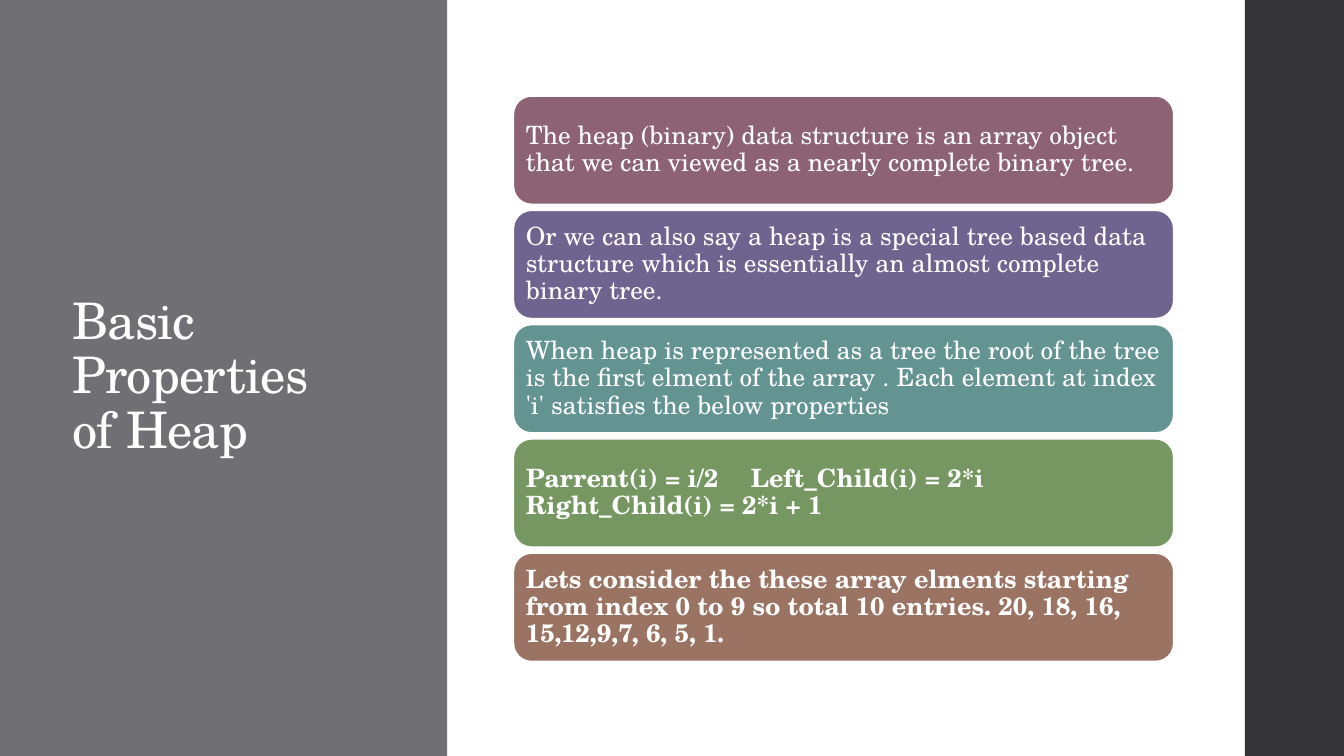
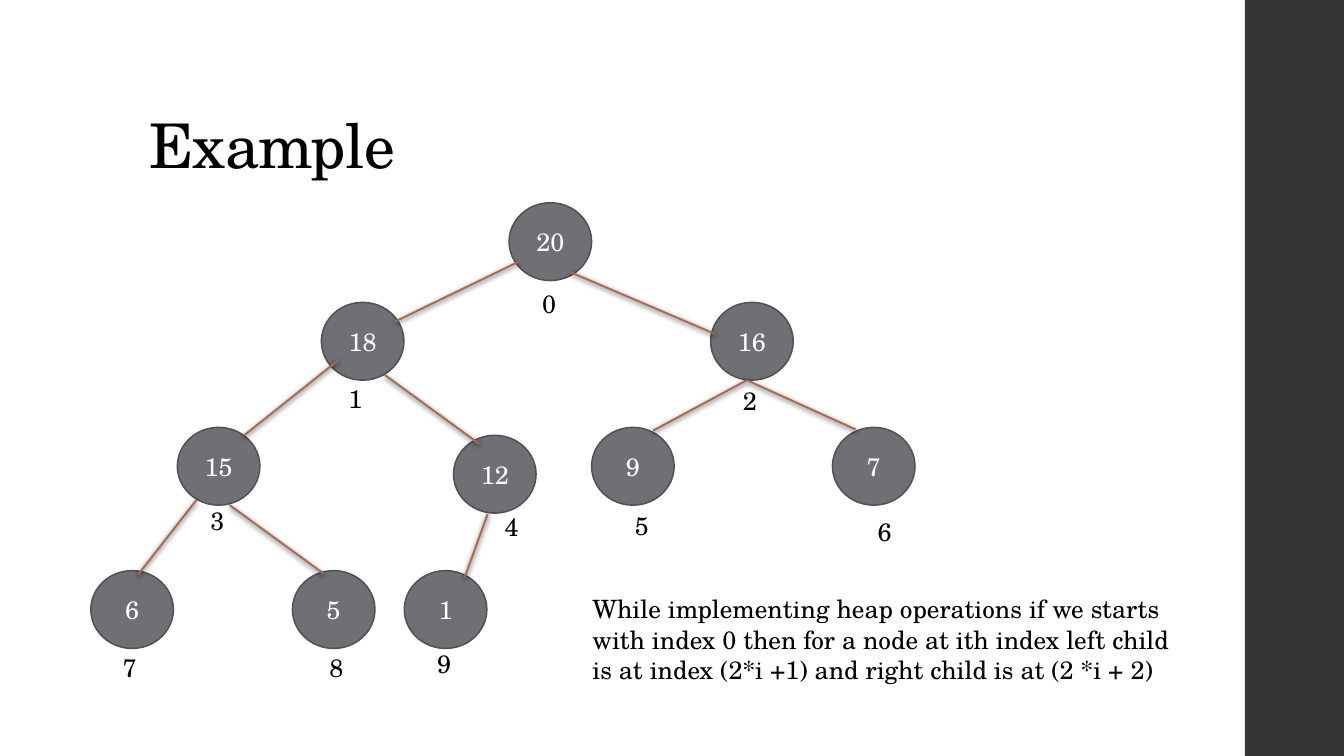
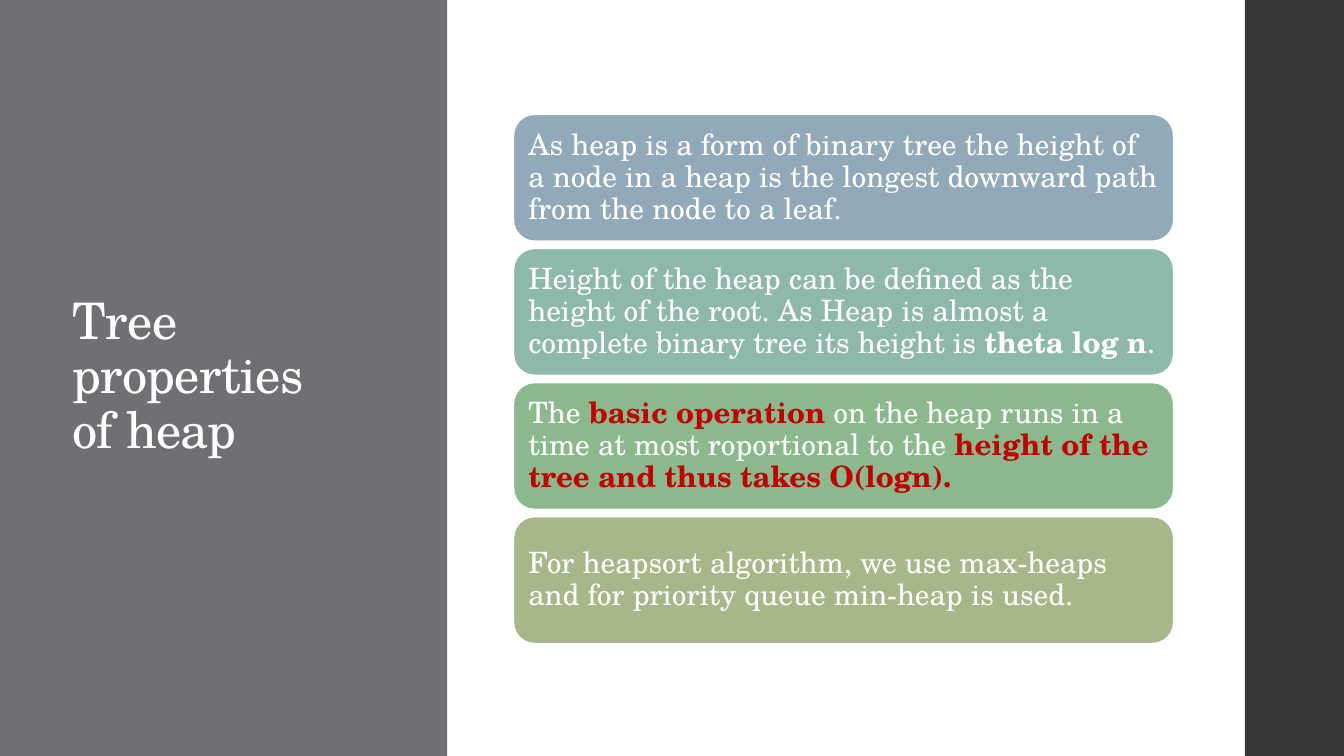
"""Build three slides on the properties of a binary heap."""
from lxml.etree import SubElement
from pptx import Presentation
from pptx.dml.color import RGBColor
from pptx.enum.shapes import MSO_CONNECTOR as Connector
from pptx.enum.shapes import MSO_SHAPE as Shape
from pptx.enum.text import MSO_ANCHOR as Anchor
from pptx.enum.text import PP_ALIGN as Align
from pptx.oxml.ns import qn
from pptx.util import Cm, Pt

FONT = "TeX Gyre Schola"
WHITE = RGBColor(0xFF, 0xFF, 0xFF)
BLACK = RGBColor(0x00, 0x00, 0x00)
GREY = RGBColor(0x6F, 0x6F, 0x74)
GREY_EDGE = RGBColor(0x52, 0x52, 0x56)
DARK = RGBColor(0x35, 0x35, 0x37)
BROWN = RGBColor(0xA6, 0x6B, 0x52)
RED = RGBColor(0xC0, 0x00, 0x00)
PLUM = RGBColor(0x8D, 0x63, 0x74)
VIOLET = RGBColor(0x6F, 0x63, 0x90)
TEAL = RGBColor(0x63, 0x94, 0x91)
GREEN = RGBColor(0x76, 0x97, 0x62)
CLAY = RGBColor(0x9B, 0x73, 0x62)
BLUE_GREY = RGBColor(0x92, 0xA9, 0xB9)
MINT = RGBColor(0x8F, 0xB8, 0xAD)
LEAF = RGBColor(0x8C, 0xB8, 0x8E)
OLIVE = RGBColor(0xA7, 0xB7, 0x89)

WIDTH, HEIGHT = 33.87, 19.05


def add_box(page, kind, left, top, width, height, fill=None, edge=None):
    place = Cm(left), Cm(top), Cm(width), Cm(height)
    if kind is None:
        return page.shapes.add_textbox(*place)
    box = page.shapes.add_shape(kind, *place)
    box.shadow.inherit = False
    box.fill.solid()
    box.fill.fore_color.rgb = fill
    if edge is None:
        box.line.fill.background()
    else:
        box.line.color.rgb = edge
        box.line.width = Pt(1.1)
    return box


def write(box, text, size=18, color=BLACK, bold=False, align=Align.LEFT,
          anchor=Anchor.TOP, leading=1.0, inset=0.25, tracking=0):
    frame = box.text_frame
    frame.word_wrap = True
    frame.vertical_anchor = anchor
    frame.margin_left = frame.margin_right = Cm(inset)
    frame.margin_top = frame.margin_bottom = Cm(min(inset, 0.13) if inset == 0.25 else inset)
    para = frame.paragraphs[0]
    para.alignment = align
    para.line_spacing = leading
    span = para.add_run()
    span.text = text
    span.font.name = FONT
    span.font.size = Pt(size)
    span.font.bold = bold
    span.font.color.rgb = color
    if tracking:
        span._r.get_or_add_rPr().set("spc", str(tracking))
    return para


deck = Presentation()
deck.slide_width, deck.slide_height = Cm(WIDTH), Cm(HEIGHT)
blank = deck.slide_layouts[6]

panel_slides = [
    {"title": "Basic Properties of Heap", "size": 18, "inset": 0.18,
     "top": 2.42, "height": 2.73, "pitch": 2.88, "cards": [
         (PLUM, [("The heap (binary) data structure is an array object that we can "
                  "viewed as a nearly complete binary tree.", WHITE, False)]),
         (VIOLET, [("Or we can also say a heap is a special tree based data structure "
                    "which is essentially an almost complete binary tree.", WHITE, False)]),
         (TEAL, [("When heap is represented as a tree the root of the tree is the first "
                  "elment of the array . Each element at index 'i' satisfies the below "
                  "properties", WHITE, False)]),
         (GREEN, [("Parrent(i) = i/2\tLeft_Child(i) = 2*i Right_Child(i) = 2*i + 1",
                   WHITE, True)]),
         (CLAY, [("Lets consider the these array elments starting from index 0 to 9 so "
                  "total 10 entries. 20, 18, 16, 15,12,9,7, 6, 5, 1.", WHITE, True)]),
     ]},
    {"title": "Tree properties of heap", "size": 21, "inset": 0.22,
     "top": 2.88, "height": 3.2, "pitch": 3.38, "cards": [
         (BLUE_GREY, [("As heap is a form of binary tree the height of a node in a heap is "
                       "the longest downward path from the node to a leaf.", WHITE, False)]),
         (MINT, [("Height of the heap can be defined as the height of the root. As Heap is "
                  "almost a complete binary tree its height is ", WHITE, False),
                 ("theta log n", WHITE, True),
                 (".", WHITE, False)]),
         (LEAF, [("The ", WHITE, False),
                 ("basic operation", RED, True),
                 (" on the heap runs in a time at most roportional to the ", WHITE, False),
                 ("height of the tree and thus takes O(logn).", RED, True)]),
         (OLIVE, [("For heapsort algorithm, we use max-heaps and for priority queue "
                   "min-heap is used.", WHITE, False)]),
     ]},
]

pages = [deck.slides.add_slide(blank) for _ in range(3)]
first_page, tree_page, last_page = pages
for page in pages:
    add_box(page, Shape.RECTANGLE, 31.37, 0, WIDTH - 31.37, HEIGHT, DARK)

for page, content in zip((first_page, last_page), panel_slides):
    add_box(page, Shape.RECTANGLE, 0, 0, 11.27, HEIGHT, GREY)
    title = add_box(page, None, 1.57, 2.31, 7.54, 14.4)
    write(title, content["title"], size=36, color=WHITE, anchor=Anchor.MIDDLE,
          leading=0.9, tracking=-50)
    for row, (fill, pieces) in enumerate(content["cards"]):
        card = add_box(page, Shape.ROUNDED_RECTANGLE, 12.94,
                       content["top"] + row * content["pitch"],
                       16.64, content["height"], fill, WHITE)
        for text, color, bold in pieces:
            para = write(card, text, size=content["size"], color=color, bold=bold,
                         anchor=Anchor.MIDDLE, leading=0.9, inset=content["inset"])
            if "\t" in text:
                stops = SubElement(para._p.get_or_add_pPr(), qn("a:tabLst"))
                SubElement(stops, qn("a:tab"), pos=str(Cm(5.67)), algn="l")

title = add_box(tree_page, None, 3.51, 1.02, 26.92, 3.68)
write(title, "Example", size=44, anchor=Anchor.BOTTOM, leading=0.9, tracking=-50)

nodes = [
    (20, (12.83, 5.11), (13.41, 7.14)),
    (18, (8.1, 7.62), (8.53, 9.53)),
    (16, (17.91, 7.62), (18.47, 9.58)),
    (15, (4.47, 10.77), (5.05, 12.6)),
    (12, (11.43, 10.97), (12.47, 12.75)),
    (9, (14.91, 10.77), (15.75, 12.73)),
    (7, (20.98, 10.77), (21.87, 12.88)),
    (6, (2.29, 14.38), (2.84, 16.31)),
    (5, (7.37, 14.38), (8.05, 16.31)),
    (1, (10.19, 14.38), (10.77, 16.21)),
]
branches = [
    (13.06, 6.6, 9.96, 8.1),
    (14.38, 6.86, 18.01, 8.41),
    (8.51, 9.09, 6.15, 10.97),
    (9.7, 9.45, 12.07, 11.18),
    (18.82, 9.58, 16.46, 10.85),
    (18.82, 9.58, 21.56, 10.82),
    (4.95, 12.6, 3.48, 14.48),
    (5.79, 12.73, 8.15, 14.45),
    (12.29, 12.95, 11.71, 14.55),
]

for value, corner, _ in nodes:
    node = add_box(tree_page, Shape.OVAL, *corner, 2.08, 1.96, GREY, GREY_EDGE)
    write(node, str(value), color=WHITE, align=Align.CENTER, anchor=Anchor.MIDDLE)

for ends in branches:
    branch = tree_page.shapes.add_connector(Connector.STRAIGHT, *map(Cm, ends))
    branch.line.color.rgb = BROWN
    branch.line.width = Pt(1.35)
    effects = SubElement(branch._element.spPr, qn("a:effectLst"))
    shadow = SubElement(effects, qn("a:outerShdw"), blurRad=str(Pt(4)),
                        dist=str(Pt(1.2)), dir="5400000", rotWithShape="0")
    tint = SubElement(shadow, qn("a:srgbClr"), val=str(BLACK))
    SubElement(tint, qn("a:alpha"), val="75000")

for index, (_, _, corner) in enumerate(nodes):
    write(add_box(tree_page, None, *corner, 0.94, 1.02), str(index))

note = add_box(tree_page, None, 14.68, 14.83, 15.29, 2.57)
write(note, "While implementing heap operations if we starts with index 0 then for a node at "
            "ith index left child is at index (2*i +1) and right child is at (2 *i + 2)")

deck.save("out.pptx")
